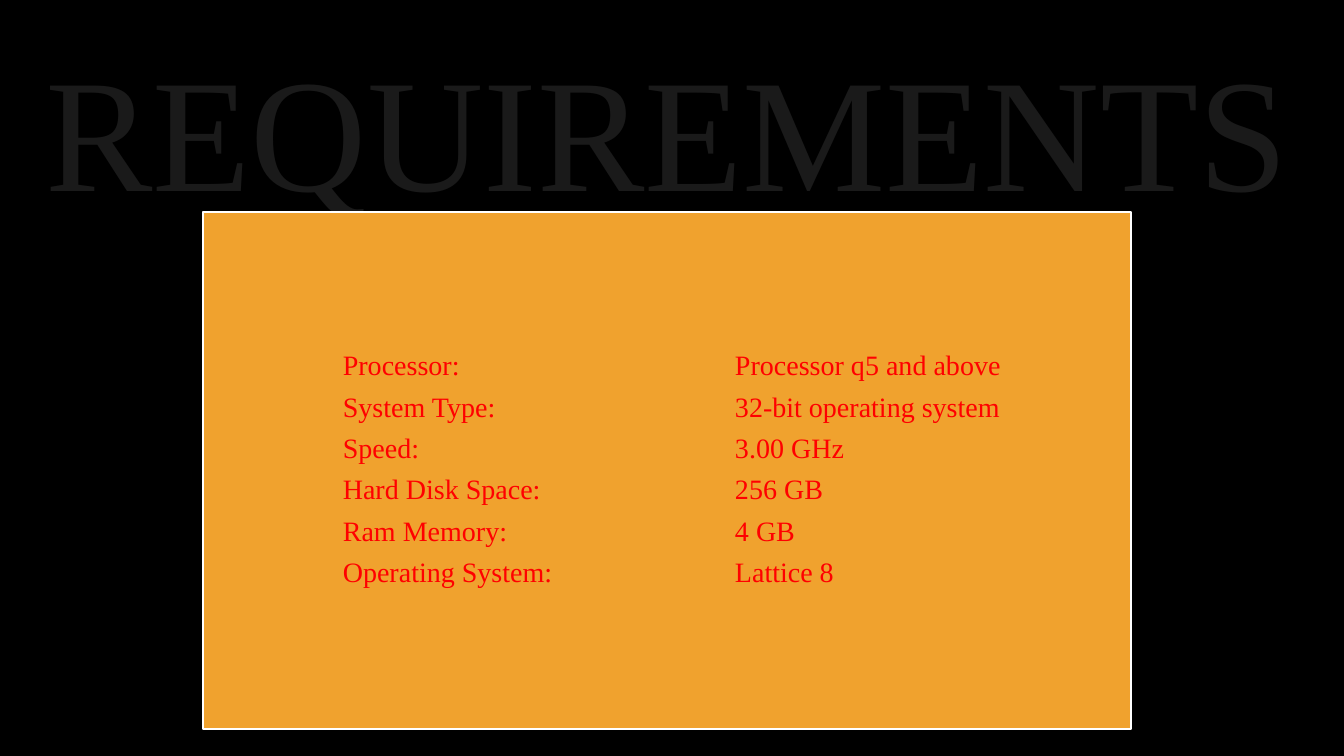
import pptx
import pptx.util
import pptx.dml.color
import pptx.enum.shapes
import pptx.enum.text
import pptx.oxml
import pptx.oxml.ns

Inches = pptx.util.Inches
Pt = pptx.util.Pt
RECTANGLE = pptx.enum.shapes.MSO_SHAPE.RECTANGLE
ANCHOR = pptx.enum.text.MSO_ANCHOR

BLACK = pptx.dml.color.RGBColor(0x00, 0x00, 0x00)
WHITE = pptx.dml.color.RGBColor(0xFF, 0xFF, 0xFF)
ORANGE = pptx.dml.color.RGBColor(0xF0, 0xA2, 0x2E)
RED = pptx.dml.color.RGBColor(0xFF, 0x00, 0x00)

FONT = "Times New Roman"
NAMESPACE = pptx.oxml.ns.nsdecls("a")
PANEL = (Inches(2.01), Inches(2.1), Inches(9.21), Inches(5.13))
TAB_STOPS = (0.97, 4.86)
REQUIREMENTS = [
    ("Processor:", "Processor q5 and above"),
    ("System Type:", "32-bit operating system"),
    ("Speed:", "3.00 GHz"),
    ("Hard Disk Space:", "256 GB"),
    ("Ram Memory:", "4 GB"),
    ("Operating System:", "Lattice 8"),
]


def write_text(paragraph, text, size, color, space_after=0, tabs=()):
    paragraph.alignment = pptx.enum.text.PP_ALIGN.LEFT
    paragraph.line_spacing = 0.9
    paragraph.space_before = Pt(0)
    paragraph.space_after = Pt(space_after)
    if tabs:
        stops = "".join(f'<a:tab pos="{Inches(stop)}" algn="l"/>' for stop in tabs)
        paragraph._p.get_or_add_pPr().append(
            pptx.oxml.parse_xml(f"<a:tabLst {NAMESPACE}>{stops}</a:tabLst>"))
    run = paragraph.add_run()
    run.text = text
    run.font.name = FONT
    run.font.size = Pt(size)
    run.font.color.rgb = color
    return run


presentation = pptx.Presentation()
presentation.slide_width = Inches(13.33)
presentation.slide_height = Inches(7.5)
slide = presentation.slides.add_slide(presentation.slide_layouts[5])
slide.background.fill.solid()
slide.background.fill.fore_color.rgb = BLACK

# Fading bands at the top and bottom, behind the title
bands = [(0, 3.63, 0, 0.57), (5.15, 2.36, 180, 0.59)]
for index, (top, height, rotation, fade_end) in enumerate(bands):
    band = slide.shapes.add_shape(RECTANGLE, 0, Inches(top), Inches(13.33), Inches(height))
    band.rotation = rotation
    band.shadow.inherit = False
    band.line.fill.background()
    band.fill.gradient()
    band.fill.gradient_angle = 90
    for stop, position, opacity in zip(band.fill.gradient_stops, (0, fade_end), (0, 30000)):
        stop.position = position
        stop.color.rgb = BLACK
        color_element = band._element.spPr.findall(".//" + pptx.oxml.ns.qn("a:srgbClr"))[-1 if position else 0]
        color_element.append(pptx.oxml.parse_xml(f'<a:alpha {NAMESPACE} val="{opacity}"/>'))
    slide.shapes._spTree.insert(2 + index, band._element)

# Faint outlined title
title = slide.shapes.title
title.left, title.top, title.width, title.height = (
    Inches(0.35), Inches(0.32), Inches(12.63), Inches(4.66))
title.text_frame.word_wrap = True
title.text_frame.auto_size = pptx.enum.text.MSO_AUTO_SIZE.NONE
title.text_frame.vertical_anchor = ANCHOR.TOP
title.text_frame.margin_top = Inches(0.2)
title_run = write_text(title.text_frame.paragraphs[0], "REQUIREMENTS", 115, WHITE)
run_properties = title_run._r.get_or_add_rPr()
run_properties.find(".//" + pptx.oxml.ns.qn("a:srgbClr")).append(
    pptx.oxml.parse_xml(f'<a:alpha {NAMESPACE} val="10000"/>'))
run_properties.insert(0, pptx.oxml.parse_xml(
    f'<a:ln {NAMESPACE} w="{Pt(0.75)}"><a:solidFill><a:srgbClr val="404040">'
    '<a:alpha val="10000"/></a:srgbClr></a:solidFill></a:ln>'))

# Orange panel grouped with its text
group = slide.shapes.add_group_shape()
panel = group.shapes.add_shape(RECTANGLE, *PANEL)
panel.shadow.inherit = False
panel.fill.solid()
panel.fill.fore_color.rgb = ORANGE
panel.line.color.rgb = WHITE
panel.line.width = Pt(1.25)

text_frame = group.shapes.add_textbox(*PANEL).text_frame
text_frame.word_wrap = True
text_frame.vertical_anchor = ANCHOR.MIDDLE
text_frame.margin_left = text_frame.margin_right = Inches(0.42)
text_frame.margin_top = text_frame.margin_bottom = Inches(0.44)
for index, (label, value) in enumerate(REQUIREMENTS):
    paragraph = text_frame.add_paragraph() if index else text_frame.paragraphs[0]
    write_text(paragraph, f"\t{label}\t{value}", 20, RED, space_after=8, tabs=TAB_STOPS)

presentation.save("out.pptx")
